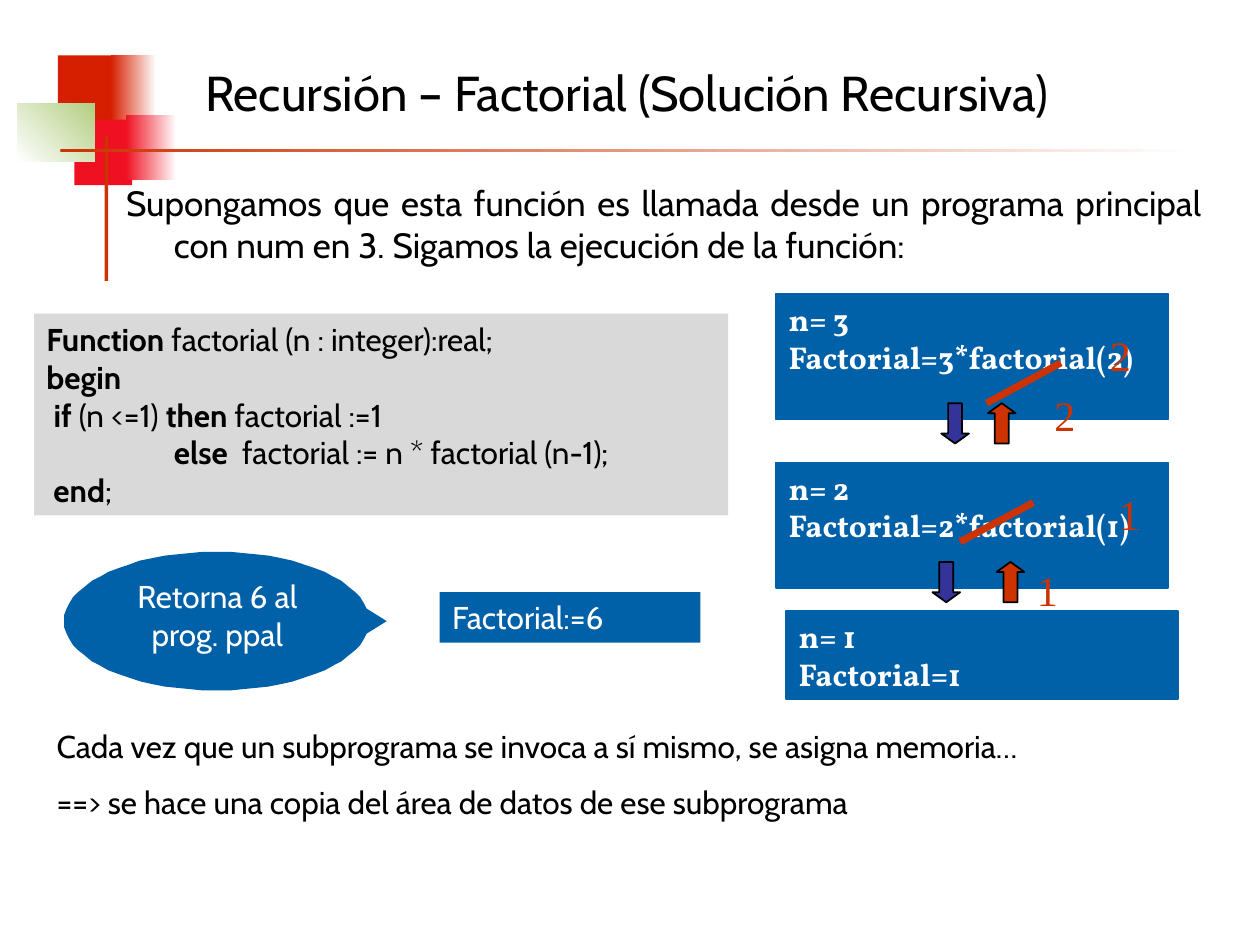
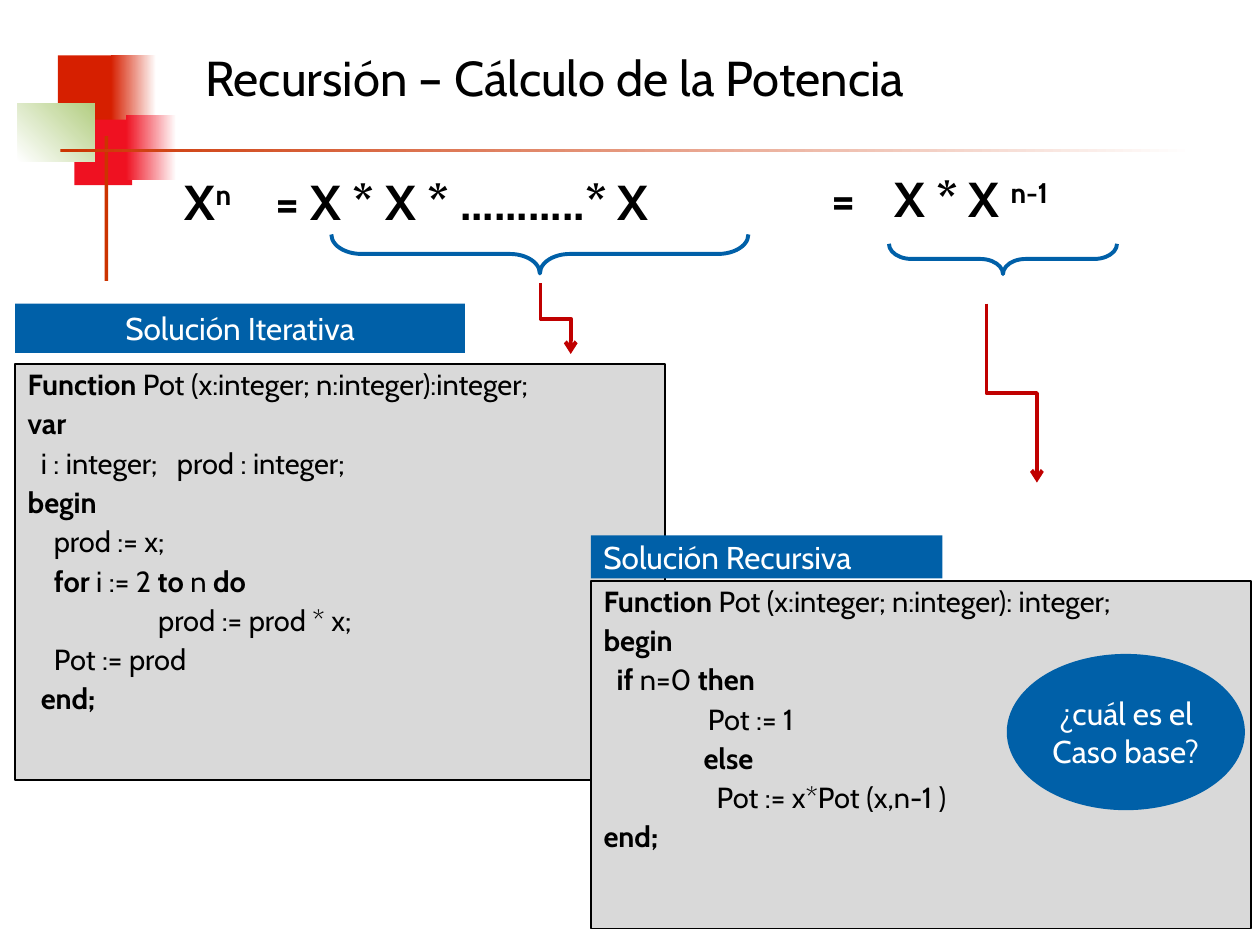
from dataclasses import dataclass
from math import cos, radians, sin
from typing import NamedTuple

from lxml.etree import SubElement
from pptx import Presentation
from pptx.dml.color import RGBColor
from pptx.enum.shapes import MSO_CONNECTOR as Link, MSO_SHAPE as Preset
from pptx.enum.text import MSO_ANCHOR as Anchor, MSO_AUTO_SIZE as AutoSize, PP_ALIGN as Align
from pptx.oxml.ns import qn
from pptx.util import Pt

PX = 9144  # EMU; 100 px to the inch

BLACK = RGBColor(0x00, 0x00, 0x00)
WHITE = RGBColor(0xFF, 0xFF, 0xFF)
BLUE = RGBColor(0x00, 0x60, 0xA8)
GREY = RGBColor(0xD9, 0xD9, 0xD9)
RUST = RGBColor(0xCC, 0x33, 0x00)
INDIGO = RGBColor(0x33, 0x33, 0x99)
DARK_RED = RGBColor(0xC0, 0x00, 0x00)
ORANGE_RED = RGBColor(0xD6, 0x1F, 0x00)
SCARLET = RGBColor(0xEF, 0x11, 0x21)
LEAF = RGBColor(0xB3, 0xCE, 0x82)

SANS, SERIF, DIGITS = "Cabin", "Vollkorn", "Times New Roman"
HANGING = 38
CODE_TABS = range(0, 800, 100)


class Area(NamedTuple):
    left: int
    top: int
    width: int
    height: int

    def emu(self) -> list[int]:
        return [length * PX for length in self]


@dataclass(frozen=True)
class Band:
    area: Area
    start: RGBColor
    end: RGBColor | None = None
    angle: int = 0


@dataclass(frozen=True)
class Call:
    area: Area
    text: str


@dataclass(frozen=True)
class Expansion:
    """A brace under a formula and the elbow arrow that leaves it."""
    brace: Area
    radius: float
    start: tuple[int, int]
    end: tuple[int, int]


BANDS = [
    Band(Area(46, 44, 48, 52), ORANGE_RED),
    Band(Area(88, 44, 36, 52), ORANGE_RED, WHITE),
    Band(Area(59, 95, 46, 52), SCARLET),
    Band(Area(100, 91, 40, 52), SCARLET, WHITE),
    Band(Area(14, 82, 61, 46), WHITE, LEAF, 45),
    Band(Area(83, 108, 3, 115), RUST),
    Band(Area(48, 118, 900, 3), RUST, WHITE),
]

CALLS = [
    Call(Area(616, 233, 311, 100), "n= 3\nFactorial=3*factorial(2)"),
    Call(Area(616, 367, 311, 100), "n= 2\nFactorial=2*factorial(1)"),
    Call(Area(624, 485, 311, 70), "n= 1\nFactorial=1"),
]
CALL_ARROWS = [(747, 320), (740, 446)]
RETURN_ARROWS = [(784, 320), (791, 446)]
STRIKES = [((842, 288), (783, 320)), ((820, 399), (762, 430))]
RETURNED = [("2", 871, 257), ("2", 827, 304), ("1", 878, 383), ("1", 813, 443)]

EXPANSIONS = [
    Expansion(Area(413, 36, 31, 331), 0.77, (429, 225), (453, 281)),
    Expansion(Area(784, 115, 24, 181), 0.75, (783, 241), (823, 383)),
]

FACTORIAL_CODE = """|Function |factorial (n : integer):real;
|begin|
 |if |(n <=1) |then |factorial :=1
|                  else  |factorial := n * factorial (n-1);
| end|;"""

ITERATIVE_CODE = """|Function| Pot (x:integer; n:integer):integer;
|var|
  i : integer;   prod : integer;
|begin|
    prod := x;
    |for| i := 2| to |n |do|
  \t\t   prod := prod * x;
    Pot := prod
  |end;|"""

RECURSIVE_CODE = """|Function| Pot (x:integer; n:integer): integer;
|begin|
  |if| n=0 |then|
                Pot := 1
 \t        |else|
\t          Pot := x*Pot (x,n-1 )
|end;|"""


def write(box, text: str, *, size=18, font=SANS, color=BLACK, bold=False, align=Align.LEFT,
          anchor=Anchor.TOP, hanging=0, gap=0, spacing=1.0, tabs=(), inset=(10, 5), wrap=True):
    """Fill a box line by line; |bars| switch bold and ^ raises the rest of a span."""
    frame = box.text_frame
    frame.auto_size = AutoSize.NONE
    frame.word_wrap = wrap
    frame.vertical_anchor = anchor
    frame.margin_left = frame.margin_right = inset[0] * PX
    frame.margin_top = frame.margin_bottom = inset[1] * PX
    for number, line in enumerate(text.split("\n")):
        para = frame.add_paragraph() if number else frame.paragraphs[0]
        props = para._p.get_or_add_pPr()
        props.set("marL", str(hanging * PX))
        props.set("indent", str(-hanging * PX))
        SubElement(props, qn("a:buNone"))
        if tabs:
            stops = SubElement(props, qn("a:tabLst"))
            for stop in tabs:
                SubElement(stops, qn("a:tab"), pos=str(stop * PX), algn="l")
        para.alignment = align
        para.line_spacing = spacing
        para.space_before = Pt(gap if number else 0)
        para.space_after = Pt(0)
        for index, part in enumerate(line.split("|")):
            base, _, raised = part.partition("^")
            for piece, baseline in ((base, 0), (raised, 30000)):
                if not piece:
                    continue
                span = para.add_run()
                span.text = piece
                span.font.size = Pt(size)
                span.font.name = font
                span.font.color.rgb = color
                span.font.bold = bold != bool(index % 2)
                if baseline:
                    span._r.get_or_add_rPr().set("baseline", str(baseline))


def paint(shape, fill: RGBColor | None, line: RGBColor | None = None, weight: float = 1):
    shape.shadow.inherit = False
    if fill is None:
        shape.fill.background()
    else:
        shape.fill.solid()
        shape.fill.fore_color.rgb = fill
    if line is None:
        shape.line.fill.background()
    else:
        shape.line.color.rgb = line
        shape.line.width = Pt(weight)


def add_box(page, area: Area, fill: RGBColor | None, line: RGBColor | None = None,
            preset=Preset.RECTANGLE, weight: float = 1):
    box = page.shapes.add_shape(preset, *area.emu())
    paint(box, fill, line, weight)
    return box


def add_label(page, area: Area, text: str, **text_format):
    write(page.shapes.add_textbox(*area.emu()), text, **text_format)


def add_band(page, band: Band):
    shape = add_box(page, band.area, band.start)
    if band.end is not None:
        shape.fill.gradient()
        shape.fill.gradient_angle = band.angle
        for stop, color in zip(shape.fill.gradient_stops, (band.start, band.end)):
            stop.color.rgb = color


def add_line(page, kind, start, end, color: RGBColor, weight: float, arrow=False):
    line = page.shapes.add_connector(kind, *(round(value * PX) for value in (*start, *end)))
    line.line.color.rgb = color
    line.line.width = Pt(weight)
    if arrow:
        SubElement(line.line._get_or_add_ln(), qn("a:tailEnd"), type="arrow")
    SubElement(line._element.spPr, qn("a:effectLst"))
    return line


def add_down_elbow(page, start, end):
    """Elbow arrow that leaves and arrives vertically: a sideways elbow turned by 270 degrees."""
    middle_x, middle_y = (start[0] + end[0]) / 2, (start[1] + end[1]) / 2
    half_run, half_rise = (end[1] - start[1]) / 2, (end[0] - start[0]) / 2
    elbow = add_line(page, Link.ELBOW, (middle_x + half_run, middle_y - half_rise),
                     (middle_x - half_run, middle_y + half_rise), DARK_RED, 2.25, arrow=True)
    elbow._element.spPr.find(qn("a:xfrm")).set("rot", str(270 * 60000))


def add_speech_ellipse(page, center, radii, tip):
    outline = [(center[0] + radii[0] * cos(radians(angle)), center[1] + radii[1] * sin(radians(angle)))
               for angle in range(10, 351, 5)]
    builder = page.shapes.build_freeform(*outline[0], scale=PX)
    builder.add_line_segments([*outline[1:], tip])
    paint(builder.convert_to_shape(), BLUE)


def place(holder, area: Area):
    holder.left, holder.top, holder.width, holder.height = area.emu()
    return holder


def start_page(deck, layout: int, title: str, title_top: int):
    page = deck.slides.add_slide(deck.slide_layouts[layout])
    write(place(page.shapes.title, Area(153, title_top, 795, 84)), title, size=28, anchor=Anchor.MIDDLE)
    for band in BANDS:
        add_band(page, band)
    return page


def build_factorial(deck):
    page = start_page(deck, 1, "Recursión – Factorial (Solución Recursiva)", 31)
    write(place(page.placeholders[1], Area(90, 139, 874, 94)),
          "Supongamos que esta función es llamada desde un programa principal con num en 3. "
          "Sigamos la ejecución de la función:", size=20, align=Align.JUSTIFY, hanging=HANGING)
    write(add_box(page, Area(27, 249, 551, 160), GREY), FACTORIAL_CODE)
    for call in CALLS:
        write(add_box(page, call.area, BLUE, BLUE), call.text, font=SERIF, color=WHITE, bold=True)
    for preset, color, corners in ((Preset.DOWN_ARROW, INDIGO, CALL_ARROWS),
                                   (Preset.UP_ARROW, RUST, RETURN_ARROWS)):
        for left, top in corners:
            arrow = add_box(page, Area(left, top, 22, 32), color, BLACK, preset)
            arrow.adjustments[1] = 0.36
    for start, end in STRIKES:
        add_line(page, Link.STRAIGHT, start, end, RUST, 4)
    for value, left, top in RETURNED:
        add_label(page, Area(left, top, 51, 50), value, size=24, font=DIGITS, color=RUST)
    write(add_box(page, Area(349, 470, 207, 40), BLUE), "Factorial:=6", color=WHITE)
    add_speech_ellipse(page, (172, 493), (121, 55), (307, 493))
    add_label(page, Area(92, 458, 161, 70), "Retorna 6 al prog. ppal", color=WHITE,
              align=Align.CENTER, inset=(0, 0))
    add_label(page, Area(35, 572, 921, 85),
              "Cada vez que un subprograma se invoca a sí mismo, se asigna memoria…\n"
              "==> se hace una copia del área de datos de ese subprograma",
              align=Align.JUSTIFY, gap=10.7)


def build_power(deck):
    page = start_page(deck, 3, "Recursión – Cálculo de la Potencia", 19)
    for index, area, code in ((1, Area(12, 289, 516, 330), ITERATIVE_CODE),
                              (2, Area(469, 461, 524, 276), RECURSIVE_CODE)):
        body = place(page.placeholders[index], area)
        body.fill.solid()
        body.fill.fore_color.rgb = GREY
        body.line.color.rgb = BLACK
        body.line.width = Pt(1)
        write(body, code, size=16.6, hanging=HANGING, gap=4.5, spacing=0.9, tabs=CODE_TABS)
    for area, heading, align in ((Area(12, 241, 357, 39), "Solución Iterativa", Align.CENTER),
                                 (Area(469, 425, 279, 34), "Solución Recursiva", Align.LEFT)):
        write(add_box(page, area, BLUE), heading, color=WHITE, align=align, anchor=Anchor.MIDDLE)
    write(add_box(page, Area(799, 519, 189, 124), BLUE, preset=Preset.OVAL),
          "¿cuál es el\nCaso base?", color=WHITE, align=Align.CENTER, anchor=Anchor.MIDDLE, wrap=False)
    for area, formula, tabs in ((Area(137, 131, 87, 57), "X^n", ()),
                                (Area(209, 131, 425, 57), "= X * X * ...........* X", ()),
                                (Area(650, 129, 264, 57), "=\tX * X ^n-1", (44,))):
        add_label(page, area, formula, size=28, bold=True, tabs=tabs)
    for expansion in EXPANSIONS:
        brace = add_box(page, expansion.brace, None, BLUE, Preset.LEFT_BRACE, 2.25)
        brace.adjustments[0] = expansion.radius
        brace.rotation = 270
        add_down_elbow(page, expansion.start, expansion.end)


def main():
    deck = Presentation()
    deck.slide_width, deck.slide_height = 1000 * PX, 750 * PX
    build_factorial(deck)
    build_power(deck)
    deck.save("out.pptx")


if __name__ == "__main__":
    main()
